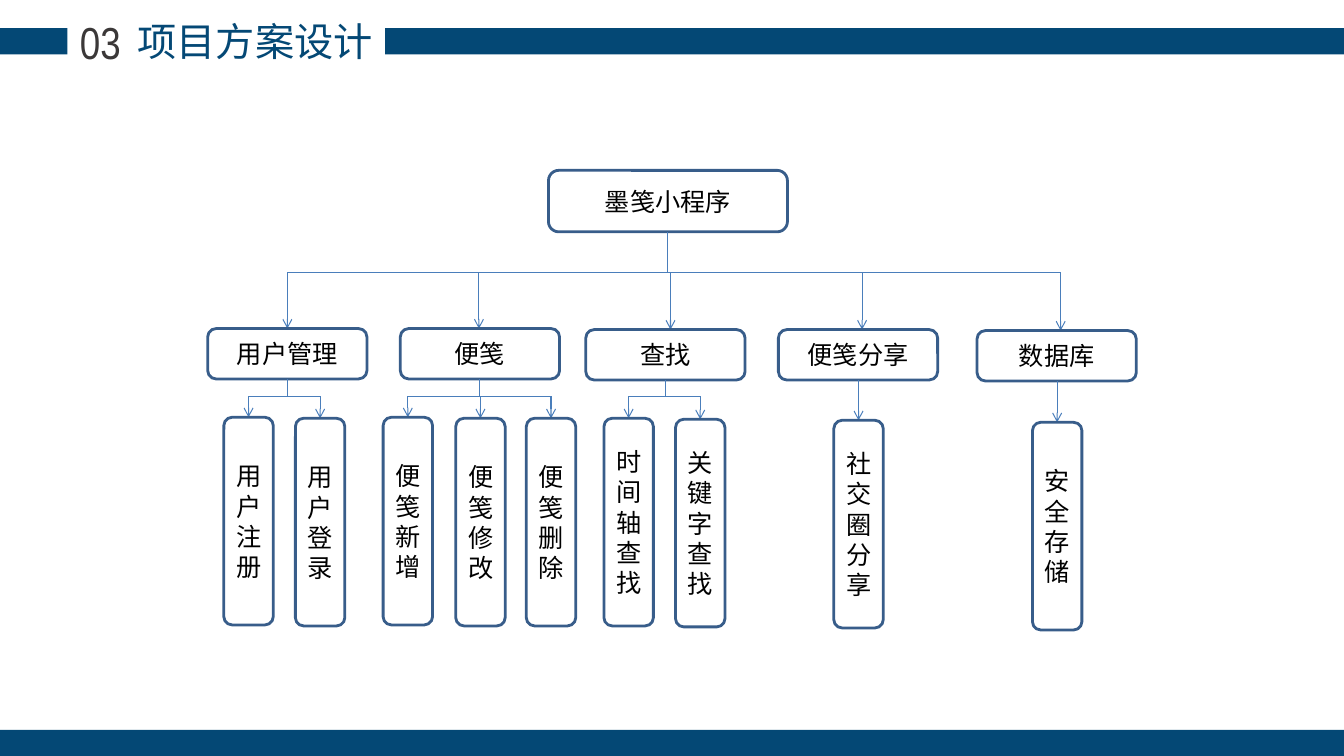
import dataclasses
import pptx
import pptx.util
import pptx.dml.color
import pptx.enum.shapes
import pptx.enum.text
import pptx.oxml
import pptx.oxml.ns

Inches = pptx.util.Inches
Pt = pptx.util.Pt
Kind = pptx.enum.shapes.MSO_SHAPE
Text = pptx.enum.text
HAN = "Noto Sans CJK SC"
COLORS = {"bar": "044875", "edge": "385D8A", "line": "4A7EBB",
          "ink": "000000", "number": "3B3838"}


@dataclasses.dataclass
class Leaf:
    label: str
    left: float
    top: float


@dataclasses.dataclass
class Branch:
    label: str
    left: float
    top: float
    drop: float
    leaves: list[Leaf]


ROOT_LEFT, ROOT_TOP, ROOT_WIDE, ROOT_HIGH = 5.44, 1.69, 2.37, 0.61
NODE_WIDE, NODE_HIGH = 1.58, 0.5
LEAF_WIDE, LEAF_HIGH = 0.49, 2.06
TRUNK, RAIL = 2.7, 3.93
BARS = [(0, 0.28, 0.67), (3.82, 0.28, 9.51), (0, 7.24, 13.33)]
BRANCHES = [
    Branch("用户管理", 2.06, 3.26, 2.85,
           [Leaf("用户注册", 2.22, 4.14), Leaf("用户登录", 2.93, 4.15)]),
    Branch("便笺", 3.97, 3.26, 4.75,
           [Leaf("便笺新增", 3.8, 4.14), Leaf("便笺修改", 4.52, 4.15),
            Leaf("便笺删除", 5.22, 4.15)]),
    Branch("查找", 5.81, 3.27, 6.65,
           [Leaf("时间轴查找", 5.99, 4.15), Leaf("关键字查找", 6.7, 4.16)]),
    Branch("便笺分享", 7.72, 3.27, 8.55, [Leaf("社交圈分享", 8.27, 4.17)]),
    Branch("数据库", 9.69, 3.28, 10.52, [Leaf("安全存储", 10.24, 4.19)]),
]

deck = pptx.Presentation()
deck.slide_width = Inches(13.33)
deck.slide_height = Inches(7.5)
slide = deck.slides.add_slide(deck.slide_layouts[5])


def tint(name: str) -> pptx.dml.color.RGBColor:
    return pptx.dml.color.RGBColor.from_string(COLORS[name])


def write(shape, label: str, size: float, font: str, color: str) -> None:
    frame = shape.text_frame
    frame.text = label
    frame.word_wrap = True
    frame.auto_size = Text.MSO_AUTO_SIZE.NONE
    frame.vertical_anchor = Text.MSO_ANCHOR.MIDDLE
    frame.margin_left = frame.margin_right = Inches(0.1)
    frame.margin_top = frame.margin_bottom = 0
    line = frame.paragraphs[0]
    line.alignment = Text.PP_ALIGN.CENTER
    run = line.runs[0]
    run.font.size = Pt(size)
    run.font.name = font
    run.font.color.rgb = tint(color)
    east = pptx.oxml.parse_xml(f'<a:ea {pptx.oxml.ns.nsdecls("a")} typeface="{HAN}"/>')
    run.font._element.append(east)


def bar(left: float, top: float, wide: float) -> None:
    shape = slide.shapes.add_shape(
        Kind.RECTANGLE, Inches(left), Inches(top), Inches(wide), Inches(0.26))
    shape.shadow.inherit = False
    shape.fill.solid()
    shape.fill.fore_color.rgb = tint("bar")
    shape.line.fill.background()


def box(label: str, left: float, top: float, wide: float, high: float) -> None:
    shape = slide.shapes.add_shape(
        Kind.ROUNDED_RECTANGLE, Inches(left), Inches(top), Inches(wide), Inches(high))
    shape.adjustments[0] = 0.167
    shape.shadow.inherit = False
    shape.fill.background()
    shape.line.color.rgb = tint("edge")
    shape.line.width = Pt(2)
    write(shape, label, 18, "Calibri", "ink")


def link(x1: float, y1: float, x2: float, y2: float, arrow: bool = False) -> None:
    wire = slide.shapes.add_connector(
        pptx.enum.shapes.MSO_CONNECTOR.STRAIGHT,
        Inches(x1), Inches(y1), Inches(x2), Inches(y2))
    wire.line.color.rgb = tint("line")
    wire.line.width = Pt(0.75)
    space = pptx.oxml.ns.nsdecls("a")
    if arrow:
        wire.line._get_or_add_ln().append(
            pptx.oxml.parse_xml(f'<a:tailEnd {space} type="arrow"/>'))
    wire._element.spPr.append(pptx.oxml.parse_xml(f"<a:effectLst {space}/>"))


def grow(branch: Branch) -> None:
    stem = branch.left + NODE_WIDE / 2
    base = branch.top + NODE_HIGH
    link(branch.drop, TRUNK, branch.drop, branch.top, True)
    box(branch.label, branch.left, branch.top, NODE_WIDE, NODE_HIGH)
    mids = [leaf.left + LEAF_WIDE / 2 for leaf in branch.leaves]
    start = base
    if len(mids) > 1:
        start = RAIL
        link(stem, base, stem, RAIL)
        link(mids[0], RAIL, mids[-1], RAIL)
    for leaf, mid in zip(branch.leaves, mids):
        link(mid, start, mid, leaf.top, True)
        box(leaf.label, leaf.left, leaf.top, LEAF_WIDE, LEAF_HIGH)


for place in BARS:
    bar(*place)

title = slide.shapes.title
title.left, title.top = Inches(0.73), Inches(0.12)
title.width, title.height = Inches(3.6), Inches(0.57)
write(title, "项目方案设计", 28, HAN, "bar")

number = slide.shapes.add_textbox(
    Inches(0.6), Inches(0.09), Inches(0.79), Inches(0.64))
write(number, "03", 32, "Arial Narrow", "number")

box("墨笺小程序", ROOT_LEFT, ROOT_TOP, ROOT_WIDE, ROOT_HIGH)
center = ROOT_LEFT + ROOT_WIDE / 2
link(center, ROOT_TOP + ROOT_HIGH, center, TRUNK)
link(BRANCHES[0].drop, TRUNK, BRANCHES[-1].drop, TRUNK)
for branch in BRANCHES:
    grow(branch)

deck.save("out.pptx")
